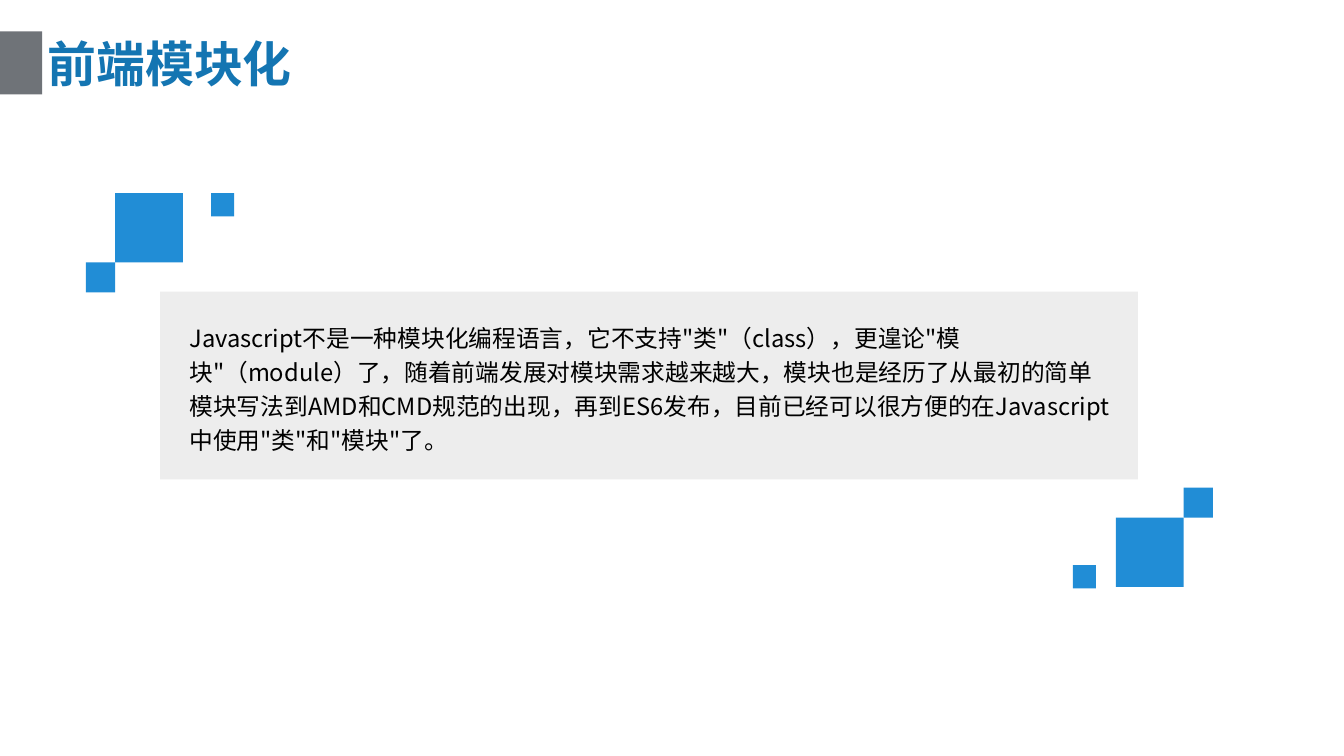
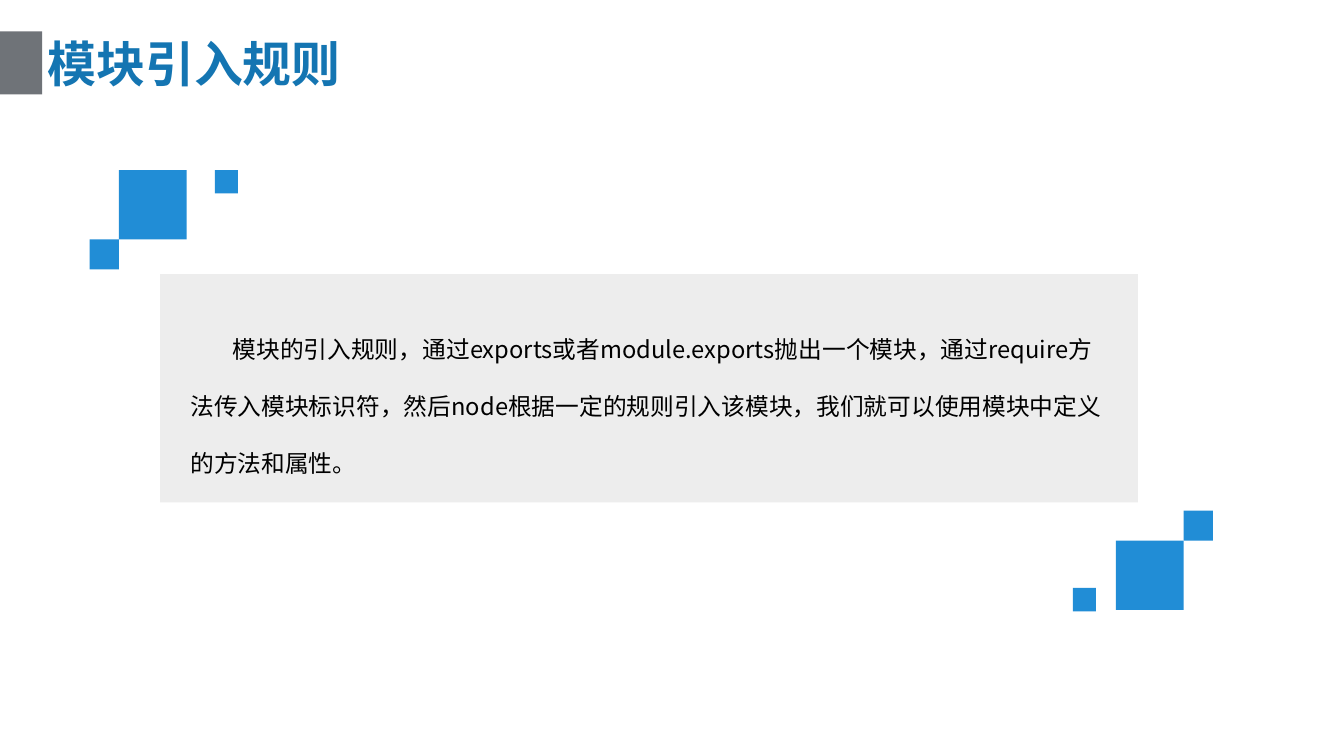
from pptx import Presentation
from pptx.dml.color import RGBColor
from pptx.enum import shapes, text
from pptx.oxml.ns import qn
from pptx.util import Pt
from lxml import etree

COLORS = {
    "band": "6F7378",
    "title": "1475B2",
    "square": "218DD6",
    "panel": "EDEDED",
    "body": "000000",
}
FONT = "Noto Sans CJK SC"
SLIDE_SIZE = (1814.4, 1020.24)

# Square sizes (width, height)
BIG, MID, SMALL = (91.5, 93.5), (39.5, 40.5), (31, 31.5)
# Each cluster: offset from its corner and size; the middle square touches the big one
TOP_CLUSTER = [
    ((MID[0], 0), BIG),
    ((0, BIG[1]), MID),
    ((169, 0), SMALL),
]
BOTTOM_CLUSTER = [
    ((58, MID[1]), BIG),
    ((58 + BIG[0], 0), MID),
    ((0, 104.5), SMALL),
]

SLIDES = [
    dict(
        title="前端模块化",
        top_corner=(116, 260.5),
        bottom_corner=(1448.5, 658),
        panel=(216, 393.5, 1320, 253.5),
        padding=(36, 32),
        body='Javascript不是一种模块化编程语言，它不支持"类"（class），更遑论"模块"（module）了，'
             '随着前端发展对模块需求越来越大，模块也是经历了从最初的简单模块写法到AMD和CMD规范的出现，'
             '再到ES6发布，目前已经可以很方便的在Javascript中使用"类"和"模块"了。',
        spacing=1.2,
        indent=0,
    ),
    dict(
        title="模块引入规则",
        top_corner=(121, 229.5),
        bottom_corner=(1448.5, 689),
        panel=(216, 370, 1320, 308),
        padding=(37.5, 39.5),
        body='模块的引入规则，通过exports或者module.exports抛出一个模块，通过require方法传入模块标识符，'
             '然后node根据一定的规则引入该模块，我们就可以使用模块中定义的方法和属性。',
        spacing=2.0,
        indent=57,
    ),
]


def add_rect(parent, box, color):
    rect = parent.add_shape(shapes.MSO_SHAPE.RECTANGLE, *map(Pt, box))
    rect.shadow.inherit = False
    rect.fill.solid()
    rect.fill.fore_color.rgb = RGBColor.from_string(COLORS[color])
    rect.line.fill.background()


def add_text(slide, box, wording, size, color, insets, bold=False):
    """Place one paragraph of text and return its frame."""
    frame = slide.shapes.add_textbox(*map(Pt, box)).text_frame
    frame.word_wrap = True
    frame.margin_left = frame.margin_right = Pt(insets[0])
    frame.margin_top = frame.margin_bottom = Pt(insets[1])
    paragraph = frame.paragraphs[0]
    paragraph.text = wording
    font = paragraph.font
    font.name, font.size, font.bold = FONT, Pt(size), bold
    font.color.rgb = RGBColor.from_string(COLORS[color])
    # East Asian typeface
    defaults = paragraph._p.pPr.find(qn("a:defRPr"))
    etree.SubElement(defaults, qn("a:ea")).set("typeface", FONT)
    return frame


def add_header(slide, wording, box):
    left, top, width, height = box
    band_width = 57
    add_rect(slide.shapes, (left, top, band_width, height), "band")
    frame = add_text(slide, (left + band_width, top, width - band_width, height),
                     wording, 66, "title", (7.2, 3.6), bold=True)
    frame.vertical_anchor = text.MSO_ANCHOR.MIDDLE


def add_cluster(slide, corner, squares):
    cluster = slide.shapes.add_group_shape()
    for (dx, dy), size in squares:
        add_rect(cluster.shapes, (corner[0] + dx, corner[1] + dy, *size), "square")


def add_panel(slide, box, padding, wording, spacing, indent):
    left, top, _, height = box
    pad_x, pad_y = padding
    add_rect(slide.shapes, box, "panel")
    frame = add_text(slide, (left + pad_x, top + pad_y, 1253, height - 2 * pad_y),
                     wording, 32, "body", (3.6, 3.6))
    frame.auto_size = text.MSO_AUTO_SIZE.SHAPE_TO_FIT_TEXT
    paragraph = frame.paragraphs[0]
    paragraph.line_spacing = spacing
    # First-line indent
    paragraph._p.pPr.set("indent", str(Pt(indent)))


def add_statement_slide(deck, content):
    slide = deck.slides.add_slide(deck.slide_layouts[6])
    add_header(slide, content["title"], (0, 42.5, 1757.5, 85))
    add_cluster(slide, content["top_corner"], TOP_CLUSTER)
    add_cluster(slide, content["bottom_corner"], BOTTOM_CLUSTER)
    add_panel(slide, content["panel"], content["padding"], content["body"],
              content["spacing"], content["indent"])


def main():
    deck = Presentation()
    deck.slide_width, deck.slide_height = map(Pt, SLIDE_SIZE)
    for content in SLIDES:
        add_statement_slide(deck, content)
    deck.save("out.pptx")


if __name__ == "__main__":
    main()
